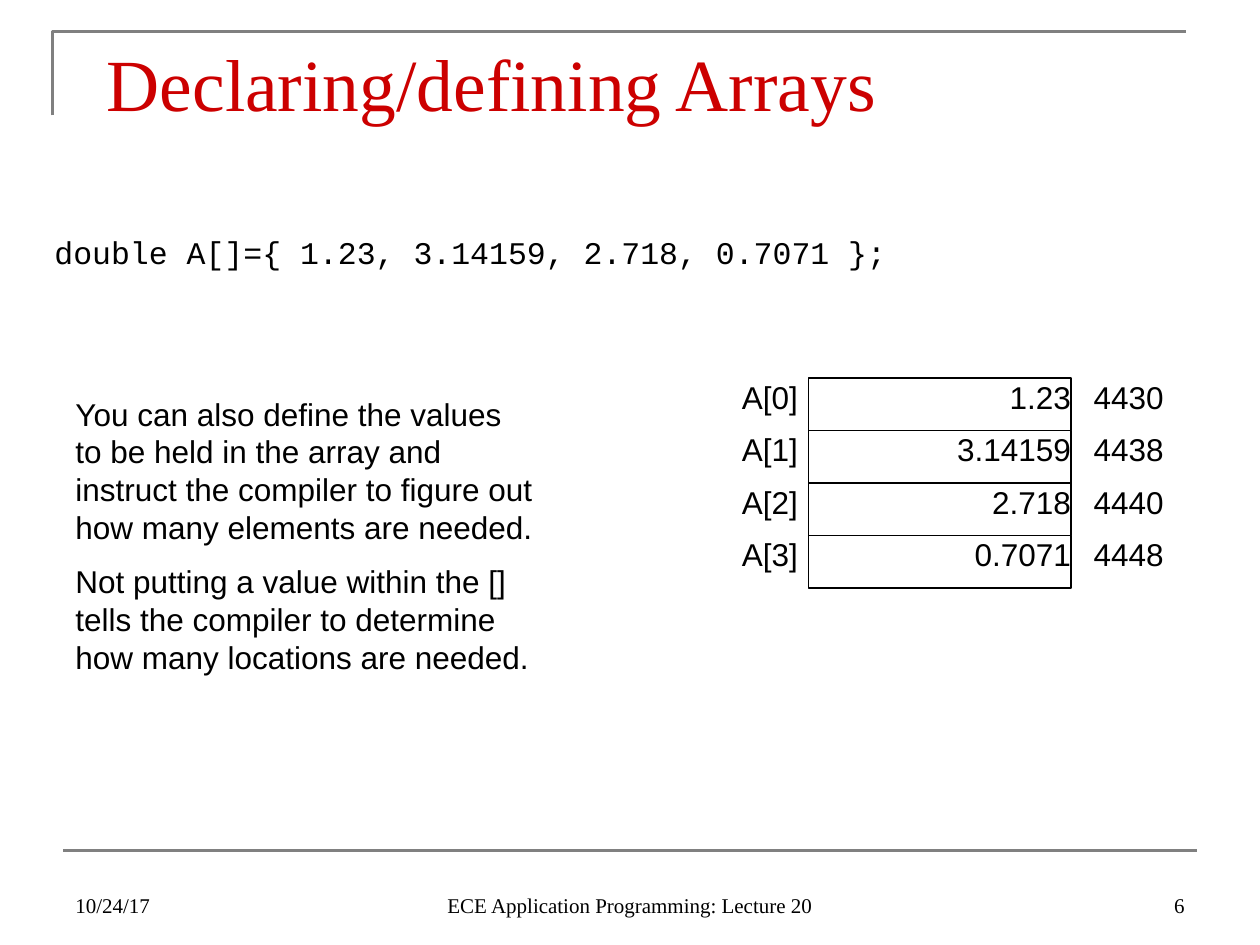
from lxml.etree import SubElement
from pptx import Presentation
from pptx.dml.color import RGBColor
from pptx.enum.shapes import MSO_CONNECTOR as Connector, MSO_SHAPE as Shape
from pptx.enum.text import MSO_ANCHOR as Anchor, PP_ALIGN as Align
from pptx.oxml.ns import qn
from pptx.util import Pt

RED = RGBColor(0xCC, 0x00, 0x00)
GRAY = RGBColor(0x80, 0x80, 0x80)
BLACK = RGBColor(0x00, 0x00, 0x00)

SERIF, SANS, MONO = "Times New Roman", "Arial", "Courier New"

CELLS = [
    ("A[0]", "1.23", "4430"),
    ("A[1]", "3.14159", "4438"),
    ("A[2]", "2.718", "4440"),
    ("A[3]", "0.7071", "4448"),
]
NOTES = [
    "You can also define the values to be held in the array and "
    "instruct the compiler to figure out how many elements are needed.",
    "Not putting a value within the [] tells the compiler to determine "
    "how many locations are needed.",
]


def write(box, lines, font=SANS, size=18, color=BLACK, align=Align.LEFT,
          anchor=Anchor.TOP, margins=(7.2, 3.6)):
    frame = box.text_frame
    frame.word_wrap = True
    frame.vertical_anchor = anchor
    frame.margin_left = frame.margin_right = Pt(margins[0])
    frame.margin_top = frame.margin_bottom = Pt(margins[1])
    for index, line in enumerate(lines):
        para = frame.add_paragraph() if index else frame.paragraphs[0]
        para.text = line
        para.alignment = align
        if index:
            para.space_before = Pt(9.4)
        para.font.name = font
        para.font.size = Pt(size)
        para.font.color.rgb = color


def add_text(page, left, top, width, height, lines, **style):
    box = page.shapes.add_textbox(Pt(left), Pt(top), Pt(width), Pt(height))
    write(box, lines, **style)


def add_cell(page, left, top, width, height, value):
    cell = page.shapes.add_shape(Shape.RECTANGLE, Pt(left), Pt(top),
                                 Pt(width), Pt(height))
    cell.shadow.inherit = False
    cell.fill.background()
    cell.line.color.rgb = BLACK
    cell.line.width = Pt(0.75)
    write(cell, [value], align=Align.RIGHT, margins=(0, 0))


def add_frame_lines(page):
    # Corner line around the title
    builder = page.shapes.build_freeform(Pt(30), Pt(66))
    builder.add_line_segments([(Pt(30), Pt(18)), (Pt(678), Pt(18))], close=False)
    corner = builder.convert_to_shape()
    corner.shadow.inherit = False
    corner.fill.background()

    # Rule above the footer
    rule = page.shapes.add_connector(Connector.STRAIGHT, Pt(36), Pt(486),
                                     Pt(684), Pt(486))
    SubElement(rule.line._get_or_add_ln().getparent(), qn("a:effectLst"))

    for outline in (corner, rule):
        outline.line.color.rgb = GRAY
        outline.line.width = Pt(1.5)


def add_memory(page, top=216, row_height=30):
    for row, (name, value, address) in enumerate(CELLS):
        y = top + row * row_height
        add_text(page, 390, y, 66, row_height, [name],
                 align=Align.RIGHT, margins=(0, 0))
        add_cell(page, 462, y, 150, row_height, value)
        add_text(page, 612, y, 66, row_height, [address],
                 align=Align.CENTER, margins=(0, 0))


def add_footer(page):
    for left, width, text, align in (
        (36, 168, "10/24/17", Align.LEFT),
        (246, 228, "ECE Application Programming: Lecture 20", Align.CENTER),
        (516, 168, "6", Align.RIGHT),
    ):
        add_text(page, left, 492, width, 36, [text], font=SERIF, size=12,
                 align=align, anchor=Anchor.BOTTOM)


def main():
    deck = Presentation()
    deck.slide_width, deck.slide_height = Pt(720), Pt(540)
    page = deck.slides.add_slide(deck.slide_layouts[6])

    add_frame_lines(page)
    # Title
    add_text(page, 54, 12, 612, 42, ["Declaring/defining Arrays"],
             font=SERIF, size=42, color=RED, margins=(7.2, 9.5))
    # Array cells with their names and addresses
    add_memory(page)
    # Explanation and code
    add_text(page, 36, 222, 276, 280, NOTES)
    add_text(page, 24, 126, 654, 36,
             ["double A[]={ 1.23, 3.14159, 2.718, 0.7071 };"],
             font=MONO, anchor=Anchor.MIDDLE)
    add_footer(page)

    deck.save("out.pptx")


if __name__ == "__main__":
    main()
